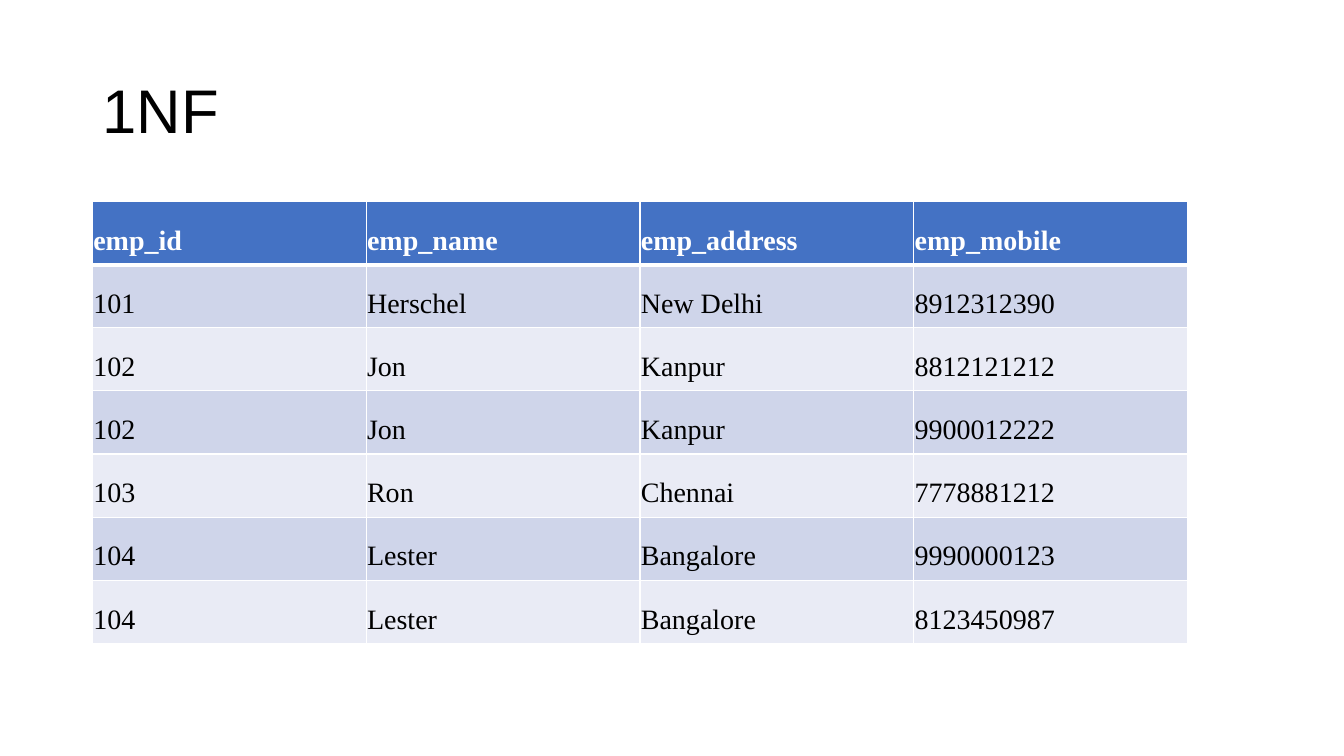
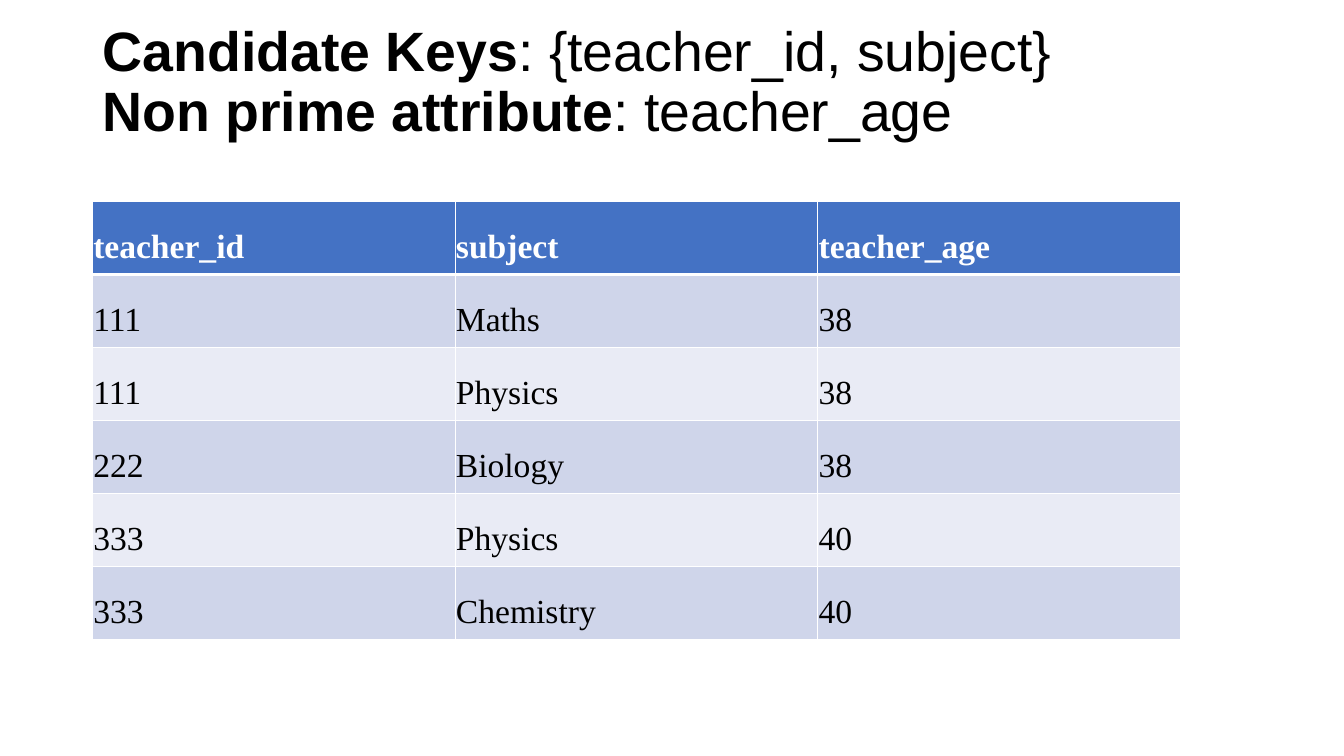
"""Build two slides on database normal forms, each a title over a table."""
from lxml import etree
from pptx import Presentation
from pptx.dml.color import RGBColor
from pptx.enum.text import MSO_ANCHOR, MSO_AUTO_SIZE, PP_ALIGN
from pptx.oxml.ns import qn
from pptx.util import Cm, Pt

MIDDLE = MSO_ANCHOR.MIDDLE
NO_AUTOFIT = MSO_AUTO_SIZE.NONE
LEFT = PP_ALIGN.LEFT

TITLE_FONT, TABLE_FONT = "Arial", "Times New Roman"
BLACK, WHITE = "000000", "FFFFFF"
HEADER_FILL = "4472C4"
BAND_FILLS = ("CFD5EA", "E9EBF5")
THIN, THICK = 1, 3
MARGIN_LEFT = Cm(2.33)
TABLE_TOP = Cm(5.08)
CELL_INSET = Cm(0.02)
TITLE_ONLY = 5

EMPLOYEES = [
    ("emp_id", "emp_name", "emp_address", "emp_mobile"),
    ("101", "Herschel", "New Delhi", "8912312390"),
    ("102", "Jon", "Kanpur", "8812121212"),
    ("102", "Jon", "Kanpur", "9900012222"),
    ("103", "Ron", "Chennai", "7778881212"),
    ("104", "Lester", "Bangalore", "9990000123"),
    ("104", "Lester", "Bangalore", "8123450987"),
]
TEACHERS = [
    ("teacher_id", "subject", "teacher_age"),
    ("111", "Maths", "38"),
    ("111", "Physics", "38"),
    ("222", "Biology", "38"),
    ("333", "Physics", "40"),
    ("333", "Chemistry", "40"),
]


def rgb(hex_code):
    """Turn a hex string into a colour."""
    return RGBColor.from_string(hex_code)


def add_run(paragraph, text, font_name, size, color, bold=False):
    """Append one formatted run to a paragraph."""
    run = paragraph.add_run()
    run.text = text
    run.font.name = font_name
    run.font.size = Pt(size)
    run.font.bold = bold
    run.font.color.rgb = rgb(color)


def add_titled_slide(prs, title_lines, size, top=1.02):
    """Add a slide whose title holds lines of (text, bold) runs."""
    slide = prs.slides.add_slide(prs.slide_layouts[TITLE_ONLY])
    title = slide.shapes.title
    title.left, title.top = MARGIN_LEFT, Cm(top)
    title.width, title.height = Cm(29.21), Cm(3.68)
    frame = title.text_frame
    frame.word_wrap = True
    frame.auto_size = NO_AUTOFIT
    frame.vertical_anchor = MIDDLE
    paragraph = frame.paragraphs[0]
    paragraph.alignment = LEFT
    paragraph.line_spacing = 0.9
    for number, line in enumerate(title_lines):
        if number:
            paragraph.add_line_break()
        for text, bold in line:
            add_run(paragraph, text, TITLE_FONT, size, BLACK, bold)
    return slide


def set_borders(cell, top, bottom):
    """Draw white cell borders with the given top and bottom widths."""
    properties = cell._tc.get_or_add_tcPr()
    widths = {"a:lnL": THIN, "a:lnR": THIN, "a:lnT": top, "a:lnB": bottom}
    for tag, width in widths.items():
        line = etree.SubElement(properties, qn(tag), w=str(Pt(width)))
        fill = etree.SubElement(line, qn("a:solidFill"))
        etree.SubElement(fill, qn("a:srgbClr"), val=WHITE)


def fill_cell(cell, text, size, row_number):
    """Format one cell as header or banded body and write its text."""
    is_header = row_number == 0
    set_borders(cell, THICK if row_number == 1 else THIN,
                THICK if is_header else THIN)
    cell.fill.solid()
    cell.fill.fore_color.rgb = rgb(
        HEADER_FILL if is_header else BAND_FILLS[(row_number - 1) % 2])
    cell.margin_left = cell.margin_right = CELL_INSET
    cell.margin_top = cell.margin_bottom = CELL_INSET
    cell.vertical_anchor = MIDDLE
    paragraph = cell.text_frame.paragraphs[0]
    paragraph.line_spacing = 1.5
    add_run(paragraph, text, TABLE_FONT, size,
            WHITE if is_header else BLACK, is_header)


def add_data_table(slide, records, column_width, row_height, size):
    """Add a table with equal columns and rows from a list of records."""
    row_count, column_count = len(records), len(records[0])
    table = slide.shapes.add_table(
        row_count, column_count, MARGIN_LEFT, TABLE_TOP,
        Cm(column_width * column_count), Cm(row_height * row_count)).table
    for row_number, record in enumerate(records):
        for column_number, text in enumerate(record):
            fill_cell(table.cell(row_number, column_number), text, size, row_number)


def main():
    """Build and save the presentation."""
    prs = Presentation()
    prs.slide_width, prs.slide_height = Cm(33.87), Cm(19.05)

    first_form = add_titled_slide(prs, [[("1NF", False)]], 44)
    add_data_table(first_form, EMPLOYEES, 6.9, 1.59, 20)

    key_lines = [
        [("Candidate Keys", True), (": {teacher_id, subject}", False)],
        [("Non prime attribute", True), (": teacher_age", False)],
    ]
    candidate_keys = add_titled_slide(prs, key_lines, 39.6, top=0.27)
    add_data_table(candidate_keys, TEACHERS, 9.14, 1.84, 24)

    prs.save("out.pptx")


if __name__ == "__main__":
    main()
